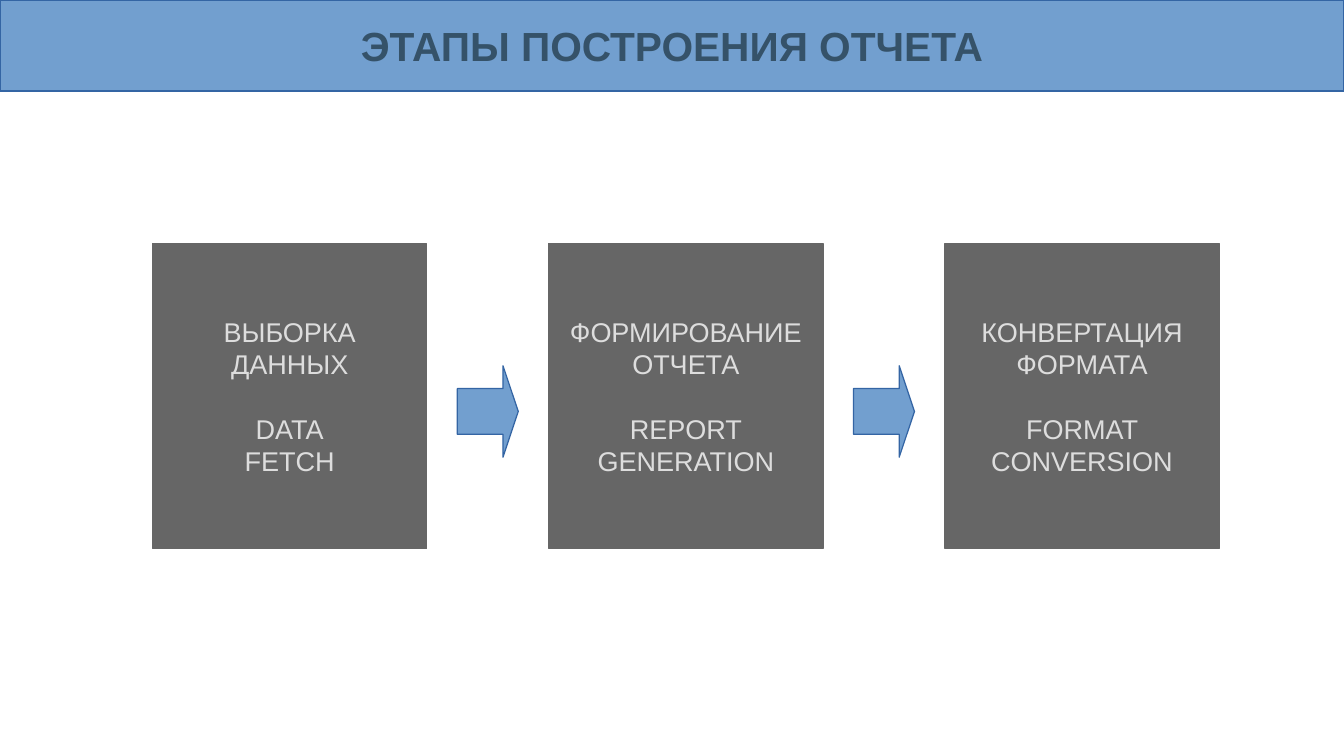
from pptx import Presentation
from pptx.dml.color import RGBColor
from pptx.enum.shapes import MSO_SHAPE
from pptx.enum.text import MSO_ANCHOR, PP_ALIGN
from pptx.util import Cm, Pt

BLUE = RGBColor(0x72, 0x9F, 0xCF)
BLUE_EDGE = RGBColor(0x34, 0x65, 0xA4)
NAVY = RGBColor(0x35, 0x52, 0x69)
GRAY = RGBColor(0x66, 0x66, 0x66)
LIGHT = RGBColor(0xDD, 0xDD, 0xDD)

STAGES = [
    (["ВЫБОРКА", "ДАННЫХ"], ["DATA", "FETCH"]),
    (["ФОРМИРОВАНИЕ", "ОТЧЕТА"], ["REPORT", "GENERATION"]),
    (["КОНВЕРТАЦИЯ", "ФОРМАТА"], ["FORMAT", "CONVERSION"]),
]


def add_figure(slide, kind, box, fill, edge):
    figure = slide.shapes.add_shape(kind, *box)
    figure.shadow.inherit = False
    figure.fill.solid()
    figure.fill.fore_color.rgb = fill
    figure.line.color.rgb = edge
    figure.line.width = Pt(0)
    return figure


def write_text(figure, groups, *, size, color, bold=False, group_gap=0):
    frame = figure.text_frame
    frame.word_wrap = False
    frame.vertical_anchor = MSO_ANCHOR.MIDDLE
    paragraph = frame.paragraphs[0]
    for group_index, group in enumerate(groups):
        for line_index, line in enumerate(group):
            if group_index or line_index:
                paragraph = frame.add_paragraph()
            paragraph.alignment = PP_ALIGN.CENTER
            if group_index and line_index == 0:
                paragraph.space_before = Pt(group_gap)
            run = paragraph.add_run()
            run.text = line
            run.font.name = "Arial"
            run.font.size = Pt(size)
            run.font.bold = bold
            run.font.color.rgb = color


def add_header(slide, box):
    banner = add_figure(slide, MSO_SHAPE.RECTANGLE, box, BLUE, BLUE_EDGE)
    write_text(banner, [["ЭТАПЫ ПОСТРОЕНИЯ ОТЧЕТА"]], size=24, color=NAVY, bold=True)


def add_stages(slide, box):
    left, top, width, height = box
    gap = Cm(2.54)
    stage_width = (width - gap * (len(STAGES) - 1)) // len(STAGES)
    for index, groups in enumerate(STAGES):
        stage_left = left + index * (stage_width + gap)
        stage_box = (stage_left, top, stage_width, height)
        stage = add_figure(slide, MSO_SHAPE.RECTANGLE, stage_box, GRAY, GRAY)
        write_text(stage, groups, size=16, color=LIGHT, group_gap=19)
        if index:
            arrow_box = (stage_left - gap * 3 // 4, top + gap, gap // 2, gap * 3 // 4)
            arrow = add_figure(slide, MSO_SHAPE.RIGHT_ARROW, arrow_box, BLUE, BLUE_EDGE)
            arrow.adjustments[0] = 0.5
            arrow.adjustments[1] = 0.25


def main():
    deck = Presentation()
    deck.slide_width = Cm(28)
    deck.slide_height = Cm(15.75)
    slide = deck.slides.add_slide(deck.slide_layouts[6])
    add_header(slide, (0, 0, deck.slide_width, Cm(1.9)))
    add_stages(slide, (Cm(3.18), Cm(5.08), Cm(22.22), Cm(6.35)))
    deck.save("out.pptx")


if __name__ == "__main__":
    main()
